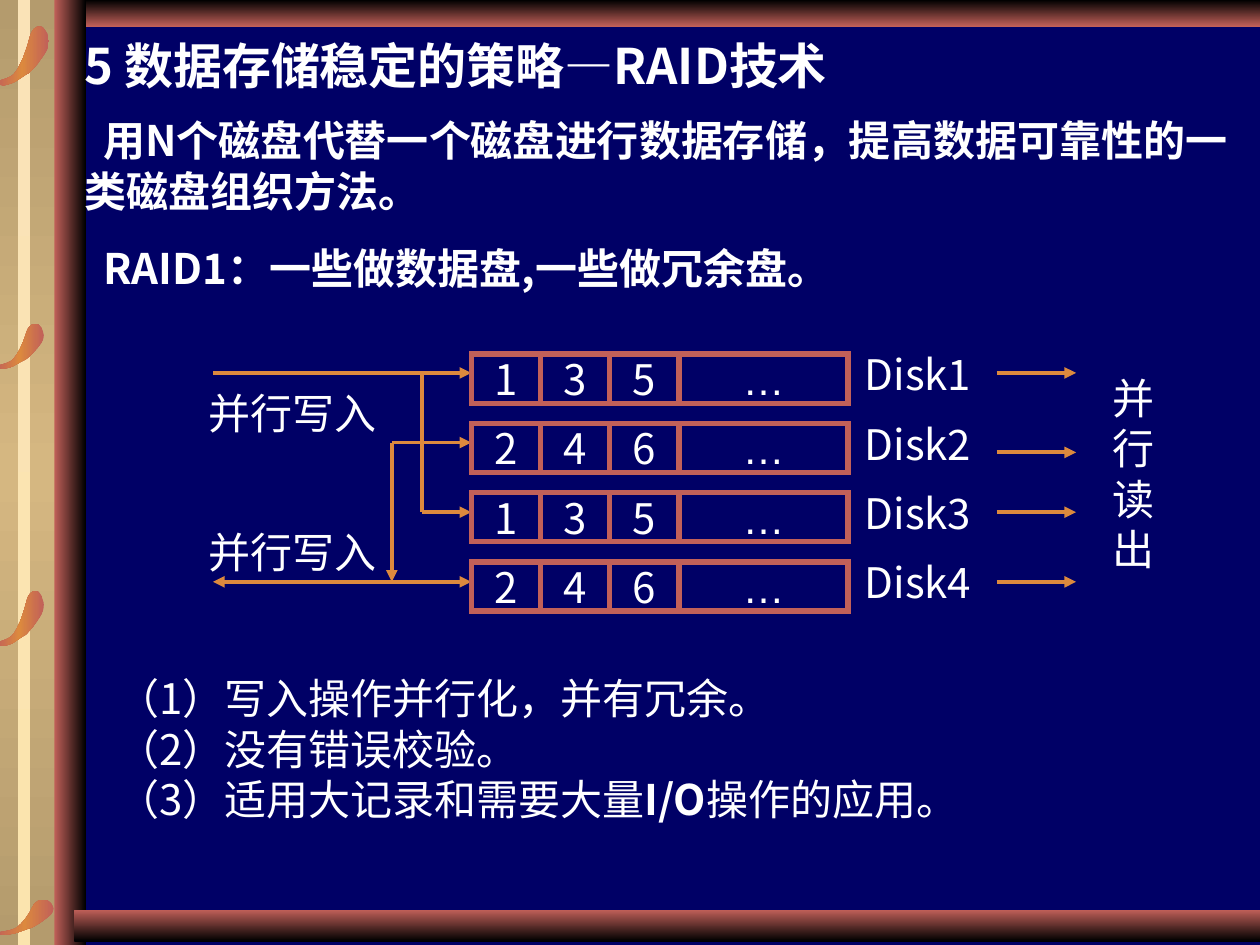
from dataclasses import dataclass

from lxml import etree
from pptx import Presentation
from pptx.dml.color import RGBColor
from pptx.enum.lang import MSO_LANGUAGE_ID
from pptx.enum.shapes import MSO_CONNECTOR, MSO_SHAPE
from pptx.enum.text import MSO_ANCHOR, PP_ALIGN
from pptx.oxml.ns import qn
from pptx.util import Pt

RECTANGLE = MSO_SHAPE.RECTANGLE
STRAIGHT = MSO_CONNECTOR.STRAIGHT
TOP, MIDDLE = MSO_ANCHOR.TOP, MSO_ANCHOR.MIDDLE
LEFT, CENTER = PP_ALIGN.LEFT, PP_ALIGN.CENTER
CHINESE = MSO_LANGUAGE_ID.SIMPLIFIED_CHINESE


@dataclass(frozen=True)
class Theme:
    background: str = "000066"
    text: str = "FFFFFF"
    border: str = "C16059"
    arrow: str = "DC893E"
    rail: tuple = ("C16059", "000000")
    rail_up: tuple = ("000000", "C16059")
    parchment: tuple = ("B49B6D", "D5B781", "B49B6D")
    ribbon: tuple = ("FAE3B7", "FBE4AE")
    curl: tuple = ("C16059", "DC893E", "C16059")
    cjk: str = "Noto Sans CJK SC"
    latin: str = "Arial"
    title_size: float = 28
    body_size: float = 24
    border_width: float = 3
    arrow_width: float = 2.25


@dataclass(frozen=True)
class Box:
    x: float
    y: float
    w: float
    h: float


@dataclass(frozen=True)
class Band:
    box: Box
    colors: tuple
    angle: int


@dataclass(frozen=True)
class Words:
    text: str
    bold: bool = False


@dataclass(frozen=True)
class Style:
    font: str
    size: float
    align: int = LEFT
    anchor: int = TOP
    margins: tuple = (0, 0)
    wrap: bool = True
    indent: float = 0


@dataclass(frozen=True)
class Route:
    x1: float
    y1: float
    x2: float
    y2: float
    arrow: bool = True


THEME = Theme()
HEADING = Style(THEME.cjk, THEME.title_size, anchor=MIDDLE)
LEAD = Style(THEME.cjk, THEME.body_size, indent=11)
NOTES = Style(THEME.cjk, THEME.body_size, margins=(7.2, 3.6))
CELL = Style(THEME.cjk, THEME.body_size, CENTER, MIDDLE, (0, 3.6), False)
LABEL = Style(THEME.latin, THEME.body_size, CENTER, MIDDLE, (0, 3.6), False)

BANDS = [
    Band(Box(48.2, 0, 671.8, 15.1), THEME.rail_up, 90),
    Band(Box(0, 0, 39.6, 540), THEME.parchment, 90),
    Band(Box(10.1, 0, 7.2, 540), THEME.ribbon, 90),
    Band(Box(31, 0, 18, 540), THEME.rail, 0),
    Band(Box(42.5, 519.8, 677.5, 18), THEME.rail, 90),
]
CURLS = [
    Box(-2.9, 514.1, 33.8, 20.2),
    Box(-2.9, 337.7, 28.1, 31.7),
    Box(-2.9, 185, 28.1, 25.9),
    Box(-2.9, 15.1, 31, 33.8),
]
CURL_SIZE = (43, 47)
CURL_START = (0, 44)
CURL_CURVES = [
    ((0, 43), (5, 43), (7, 42)), ((10, 41), (13, 40), (15, 38)),
    ((18, 35), (20, 30), (22, 26)), ((24, 21), (26, 15), (27, 11)),
    ((28, 7), (29, 4), (31, 2)), ((32, 0), (35, 0), (36, 0)),
    ((38, 0), (38, 1), (39, 2)), ((40, 4), (42, 5), (42, 8)),
    ((43, 10), (43, 13), (42, 17)), ((41, 20), (38, 24), (35, 28)),
    ((33, 31), (30, 34), (27, 37)), ((23, 39), (19, 42), (16, 44)),
    ((12, 46), (10, 46), (7, 47)), ((5, 47), (0, 45), (0, 44)),
]

DISK_X, DISK_Y, DISK_PITCH, BLOCK_W, BLOCK_H = 269.3, 202.3, 39.6, 39.6, 28.1
REST_W = 96.5
DISKS = ["135", "246", "135", "246"]
FLOW_Y = [213.1 + 39.8 * row for row in range(4)]
READ_Y = [FLOW_Y[0], 258.5, FLOW_Y[2], FLOW_Y[3]]
WRITE_X, ODD_X, EVEN_X = 121.7, 241.2, 223.9
READ_X1, READ_X2 = 569.5, 614.9
ROUTES = [
    Route(ODD_X, FLOW_Y[2], DISK_X, FLOW_Y[2]),
    Route(ODD_X, FLOW_Y[0], DISK_X, FLOW_Y[0]),
    Route(ODD_X, FLOW_Y[0], ODD_X, FLOW_Y[2], False),
    Route(ODD_X, FLOW_Y[0], WRITE_X, FLOW_Y[0], False),
    Route(EVEN_X, FLOW_Y[1], DISK_X, FLOW_Y[1]),
    Route(EVEN_X, FLOW_Y[1], EVEN_X, FLOW_Y[3]),
    Route(EVEN_X, FLOW_Y[3], DISK_X, FLOW_Y[3]),
    Route(EVEN_X, FLOW_Y[3], WRITE_X, FLOW_Y[3]),
] + [Route(READ_X1, y, READ_X2, y) for y in READ_Y]


def place(box: Box) -> tuple:
    return Pt(box.x), Pt(box.y), Pt(box.w), Pt(box.h)


def paint_gradient(shape, colors: tuple, angle: int) -> None:
    shape.shadow.inherit = False
    shape.line.fill.background()
    shape.fill.gradient()
    shape.fill.gradient_angle = -angle % 360
    stops = shape._element.spPr.find(qn("a:gradFill")).find(qn("a:gsLst"))
    for stop in list(stops):
        stops.remove(stop)
    for index, color in enumerate(colors):
        position = str(index * 100000 // (len(colors) - 1))
        stop = etree.SubElement(stops, qn("a:gs"), pos=position)
        etree.SubElement(stop, qn("a:srgbClr"), val=color)


def draw_band(slide, band: Band) -> None:
    shape = slide.shapes.add_shape(RECTANGLE, *place(band.box))
    paint_gradient(shape, band.colors, band.angle)


def draw_curl(slide, box: Box) -> None:
    knots = [CURL_START] + [knot for curve in CURL_CURVES for knot in curve]
    start, *rest = [(Pt(box.x + x * box.w / CURL_SIZE[0]), Pt(box.y + y * box.h / CURL_SIZE[1]))
                    for x, y in knots]
    builder = slide.shapes.build_freeform(*start)
    builder.add_line_segments(rest, close=True)
    shape = builder.convert_to_shape()
    segments = list(shape._element.iter(qn("a:lnTo")))
    for first in range(0, len(CURL_CURVES) * 3, 3):
        curve = etree.Element(qn("a:cubicBezTo"))
        segments[first].addprevious(curve)
        for segment in segments[first:first + 3]:
            curve.append(segment[0])
            segment.getparent().remove(segment)
    paint_gradient(shape, THEME.curl, 0)


def write(shape, paragraphs: list[list[Words]], style: Style) -> None:
    frame = shape.text_frame
    frame.word_wrap = style.wrap
    frame.vertical_anchor = style.anchor
    frame.margin_left = frame.margin_right = Pt(style.margins[0])
    frame.margin_top = frame.margin_bottom = Pt(style.margins[1])
    for index, pieces in enumerate(paragraphs):
        paragraph = frame.add_paragraph() if index else frame.paragraphs[0]
        paragraph.alignment = style.align
        if style.indent:
            paragraph._p.get_or_add_pPr().set("indent", str(Pt(style.indent)))
        for piece in pieces:
            run = paragraph.add_run()
            run.text = piece.text
            run.font.size = Pt(style.size)
            run.font.bold = piece.bold
            run.font.name = style.font
            run.font.language_id = CHINESE
            run.font.color.rgb = RGBColor.from_string(THEME.text)
            etree.SubElement(run._r.rPr, qn("a:ea"), typeface=style.font)


def draw_text(slide, box: Box, paragraphs: list[list[Words]], style: Style) -> None:
    write(slide.shapes.add_textbox(*place(box)), paragraphs, style)


def draw_block(slide, box: Box, content: str, style: Style) -> None:
    block = slide.shapes.add_shape(RECTANGLE, *place(box))
    block.shadow.inherit = False
    block.fill.background()
    block.line.color.rgb = RGBColor.from_string(THEME.border)
    block.line.width = Pt(THEME.border_width)
    etree.SubElement(block._element.spPr.find(qn("a:ln")), qn("a:miter"), lim="800000")
    write(block, [[Words(content)]], style)


def draw_disk(slide, row: int, blocks: str) -> None:
    y = DISK_Y + row * DISK_PITCH
    for column, number in enumerate(blocks):
        draw_block(slide, Box(DISK_X + column * BLOCK_W, y, BLOCK_W, BLOCK_H), number, CELL)
    draw_block(slide, Box(DISK_X + len(blocks) * BLOCK_W, y, REST_W, BLOCK_H), "…", LABEL)
    draw_text(slide, Box(490.3, y, 68.4, 23), [[Words(f"Disk{row + 1}")]], CELL)


def draw_route(slide, route: Route) -> None:
    ends = (Pt(route.x1), Pt(route.y1), Pt(route.x2), Pt(route.y2))
    connector = slide.shapes.add_connector(STRAIGHT, *ends)
    connector.line.color.rgb = RGBColor.from_string(THEME.arrow)
    connector.line.width = Pt(THEME.arrow_width)
    properties = connector._element.spPr
    if route.arrow:
        etree.SubElement(properties.find(qn("a:ln")), qn("a:tailEnd"), type="triangle")
    etree.SubElement(properties, qn("a:effectLst"))


def main() -> None:
    deck = Presentation()
    deck.slide_width, deck.slide_height = Pt(720), Pt(540)
    slide = deck.slides.add_slide(deck.slide_layouts[6])
    slide.background.fill.solid()
    slide.background.fill.fore_color.rgb = RGBColor.from_string(THEME.background)
    for band in BANDS:
        draw_band(slide, band)
    for curl in CURLS:
        draw_curl(slide, curl)

    draw_text(slide, Box(48.2, 3.6, 436.3, 67), [[Words("5 数据存储稳定的策略—RAID技术", True)]], HEADING)
    draw_text(slide, Box(48.2, 65.5, 671.8, 57.6),
              [[Words("用N个磁盘代替一个磁盘进行数据存储，提高数据可靠性的一类磁盘组织方法。", True)]], LEAD)
    draw_text(slide, Box(48.2, 138.6, 635, 28.8), [[Words("RAID1：一些做数据盘,一些做冗余盘。", True)]], LEAD)

    for route in ROUTES:
        draw_route(slide, route)
    for y in (224.6, 303.8):
        draw_text(slide, Box(117, y, 100, 23), [[Words("并行写入")]], LABEL)
    for row, blocks in enumerate(DISKS):
        draw_disk(slide, row, blocks)
    draw_text(slide, Box(629.3, 202.3, 36.7, 136.1), [[Words(letter)] for letter in "并行读出"], LABEL)
    draw_text(slide, Box(59.8, 380.9, 629.3, 93.6), [
        [Words("（1）写入操作并行化，并有冗余。")],
        [Words("（2）没有错误校验。")],
        [Words("（3）适用大记录和需要大量"), Words("I/O", True), Words("操作的应用。")],
    ], NOTES)
    deck.save("out.pptx")


if __name__ == "__main__":
    main()
